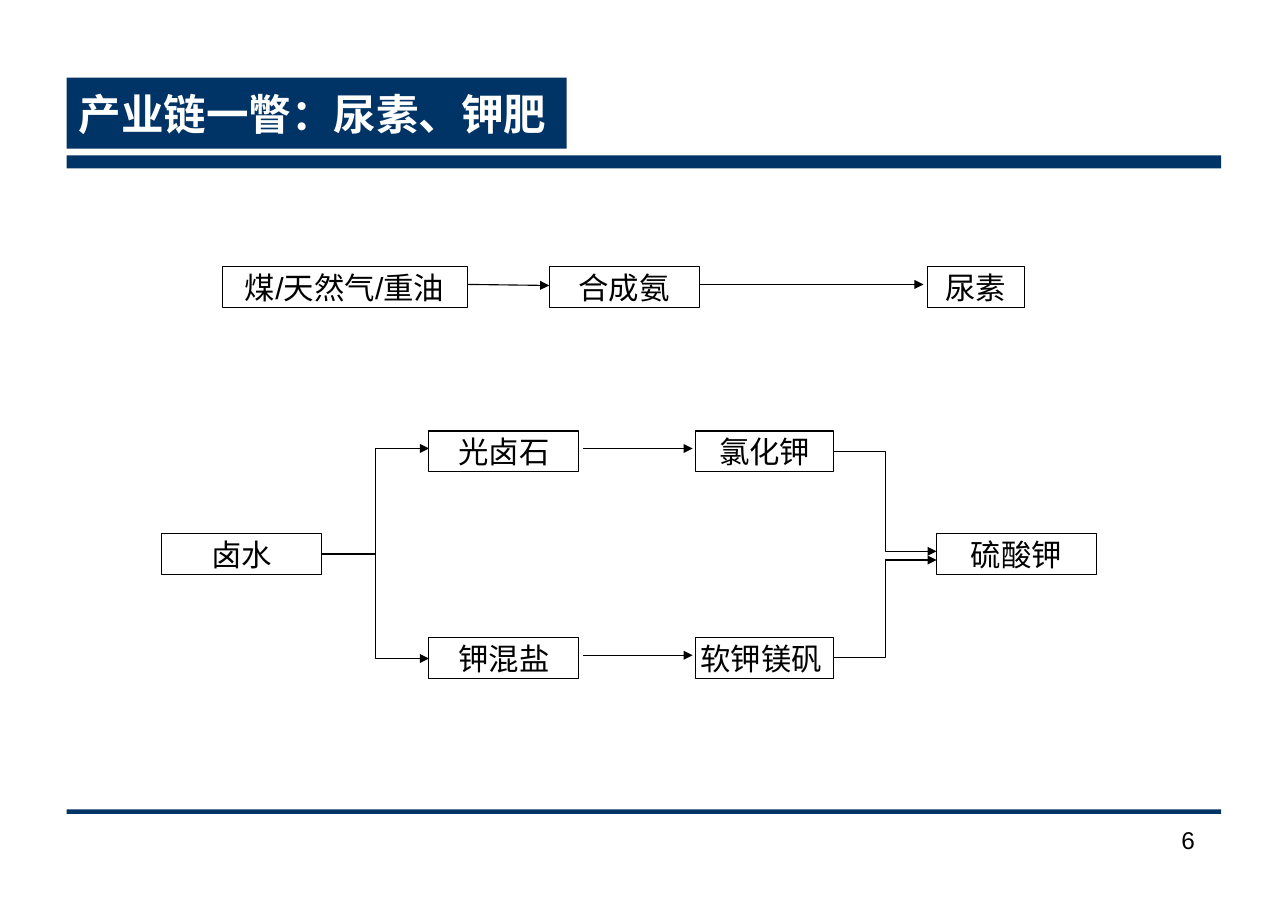
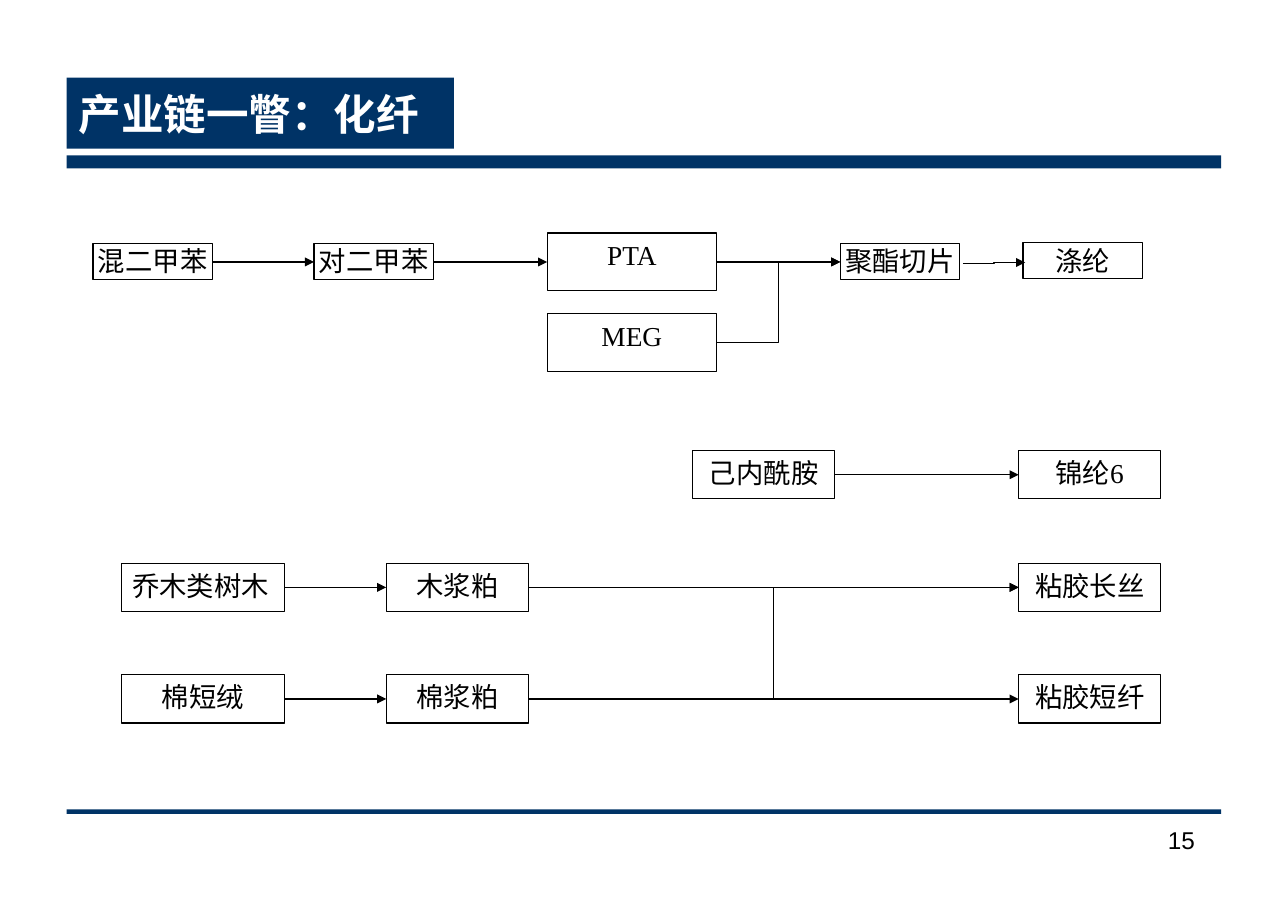
from lxml import etree
from pptx import Presentation
from pptx.dml.color import RGBColor
from pptx.enum.shapes import MSO_CONNECTOR as Connector, MSO_SHAPE as Shape
from pptx.enum.text import MSO_ANCHOR as Anchor, PP_ALIGN as Align
from pptx.oxml.ns import qn
from pptx.util import Cm, Emu, Pt

SCALE = 9144  # 100 px to the inch
NAVY, WHITE, BLACK = "003366", "FFFFFF", "000000"
LEFT, RIGHT = 1, 3  # connection sites of a rectangle

# Box styles
POTASH = dict(size=20, inset=(2, 2))
FIBRE = dict(size=18, font="Times New Roman", fill=WHITE)
TIGHT = dict(FIBRE, inset=(0, 0))


def px(value):
    return Emu(round(value * SCALE))


def color(code):
    return RGBColor.from_string(code)


def write(shape, text, size=18, font="Arial", ink=BLACK, bold=False,
          align=Align.CENTER, anchor=Anchor.TOP, inset=(10, 5)):
    frame = shape.text_frame
    frame.word_wrap = True
    frame.vertical_anchor = anchor
    frame.margin_left = frame.margin_right = px(inset[0])
    frame.margin_top = frame.margin_bottom = px(inset[1])
    paragraph = frame.paragraphs[0]
    paragraph.alignment = align
    run = paragraph.add_run()
    run.text = text
    run.font.size = Pt(size)
    run.font.name = font
    run.font.bold = bold
    run.font.color.rgb = color(ink)


def rectangle(slide, left, top, width, height, fill=None, line=None):
    shape = slide.shapes.add_shape(
        Shape.RECTANGLE, px(left), px(top), px(width), px(height))
    shape.shadow.inherit = False
    if fill:
        shape.fill.solid()
        shape.fill.fore_color.rgb = color(fill)
    else:
        shape.fill.background()
    if line:
        shape.line.color.rgb = color(line)
        shape.line.width = Pt(0.75)
    else:
        shape.line.fill.background()
    return shape


def box(slide, text, left, top, width, height, fill=None, **text_format):
    shape = rectangle(slide, left, top, width, height, fill, BLACK)
    write(shape, text, **text_format)
    return shape


def locate(end, side):
    """Give the point of an end: a (x, y) pair or the middle of a box's side."""
    if isinstance(end, tuple):
        return px(end[0]), px(end[1])
    x = end.left + (end.width if side == RIGHT else 0)
    return x, end.top + end.height // 2


def arrow(slide, start, end, kind=Connector.STRAIGHT):
    """Draw an arrow from the right side of start to the left side of end."""
    connector = slide.shapes.add_connector(
        kind, *locate(start, RIGHT), *locate(end, LEFT))
    if kind == Connector.STRAIGHT:
        if not isinstance(start, tuple):
            connector.begin_connect(start, RIGHT)
        if not isinstance(end, tuple):
            connector.end_connect(end, LEFT)
    connector.line.color.rgb = color(BLACK)
    connector.line.width = Pt(0.75)
    line = connector.line._get_or_add_ln()
    etree.SubElement(line, qn("a:tailEnd"), type="triangle")
    etree.SubElement(connector._element.spPr, qn("a:effectLst"))


def elbow(slide, start, end):
    arrow(slide, start, end, Connector.ELBOW)


def new_slide(presentation, title, title_width, number):
    slide = presentation.slides.add_slide(presentation.slide_layouts[6])
    for top, height in ((142, 12), (740, 4)):
        rectangle(slide, 61, top, 1055, height, NAVY)
    number_box = slide.shapes.add_textbox(px(1014), px(748), px(89), px(58))
    write(number_box, number, size=16, align=Align.RIGHT, inset=(11, 6))
    banner = rectangle(slide, 61, 71, title_width, 65, NAVY)
    write(banner, title, size=28, ink=WHITE, bold=True, align=Align.LEFT,
          anchor=Anchor.MIDDLE, inset=(11, 6))
    return slide


def build_fertilizer(presentation):
    slide = new_slide(presentation, "产业链一瞥：尿素、钾肥", 457, "6")

    # Urea chain
    for text, left, width in (("煤/天然气/重油", 203, 224),
                              ("合成氨", 502, 137), ("尿素", 848, 88)):
        box(slide, text, left, 244, width, 37, **POTASH)
    arrow(slide, (427, 260), (502, 261))
    arrow(slide, (639, 260), (844, 260))

    # Potash chain: two branches between brine and sulphate
    brine, _ = [
        box(slide, text, left, 488, 146, 37, **POTASH)
        for text, left in (("卤水", 148), ("硫酸钾", 856))]
    for top, ore_name, salt_name, ore_entry, sulphate_entry in (
            (394, "光卤石", "氯化钾", 410, 504),
            (583, "钾混盐", "软钾镁矾 ", 602, 512)):
        box(slide, ore_name, 392, top, 137, 37, **POTASH)
        salt = box(slide, salt_name, 636, top, 126, 37, **POTASH)
        elbow(slide, brine, (392, ore_entry))
        arrow(slide, (533, top + 16), (633, top + 16))
        elbow(slide, salt, (856, sulphate_entry))


def build_fibre(presentation):
    slide = new_slide(presentation, "产业链一瞥：化纤", 354, "15")

    # Polyester chain
    mixed, para, chips = [
        box(slide, text, left, 223, 109, 33, **TIGHT)
        for text, left in (("混二甲苯", 85), ("对二甲苯", 287), ("聚酯切片", 768))]
    acid, glycol = [
        box(slide, text, 500, top, 155, 53, **FIBRE)
        for text, top in (("PTA", 213), ("MEG", 287))]
    box(slide, "涤纶", 935, 222, 109, 33, anchor=Anchor.MIDDLE, **FIBRE)
    for start, end in ((mixed, para), (para, acid), (acid, chips)):
        arrow(slide, start, end)
    elbow(slide, glycol, chips)
    elbow(slide, (880, 241), (937, 240))

    # Nylon chain
    lactam, nylon = [
        box(slide, text, left, 412, 130, 44, **FIBRE)
        for text, left in (("己内酰胺", 633), ("锦纶6", 931))]
    arrow(slide, lactam, nylon)

    # Viscose chains
    rows = []
    for top, source_name, pulp_name, yarn_name, align in (
            (515, "乔木类树木", "木浆粕", "粘胶长丝", Align.JUSTIFY),
            (617, "棉短绒", "棉浆粕", "粘胶短纤", Align.CENTER)):
        source = box(slide, source_name, 111, top, 149, 44, align=align, **FIBRE)
        pulp = box(slide, pulp_name, 353, top, 130, 44, **FIBRE)
        yarn = box(slide, yarn_name, 931, top, 130, 44, **FIBRE)
        arrow(slide, source, pulp)
        arrow(slide, pulp, yarn)
        rows.append((pulp, yarn))
    (_, filament), (cotton_pulp, _) = rows
    elbow(slide, cotton_pulp, filament)


def main():
    presentation = Presentation()
    presentation.slide_width = Cm(29.9)
    presentation.slide_height = Cm(21.2)
    build_fertilizer(presentation)
    build_fibre(presentation)
    presentation.save("out.pptx")


if __name__ == "__main__":
    main()
